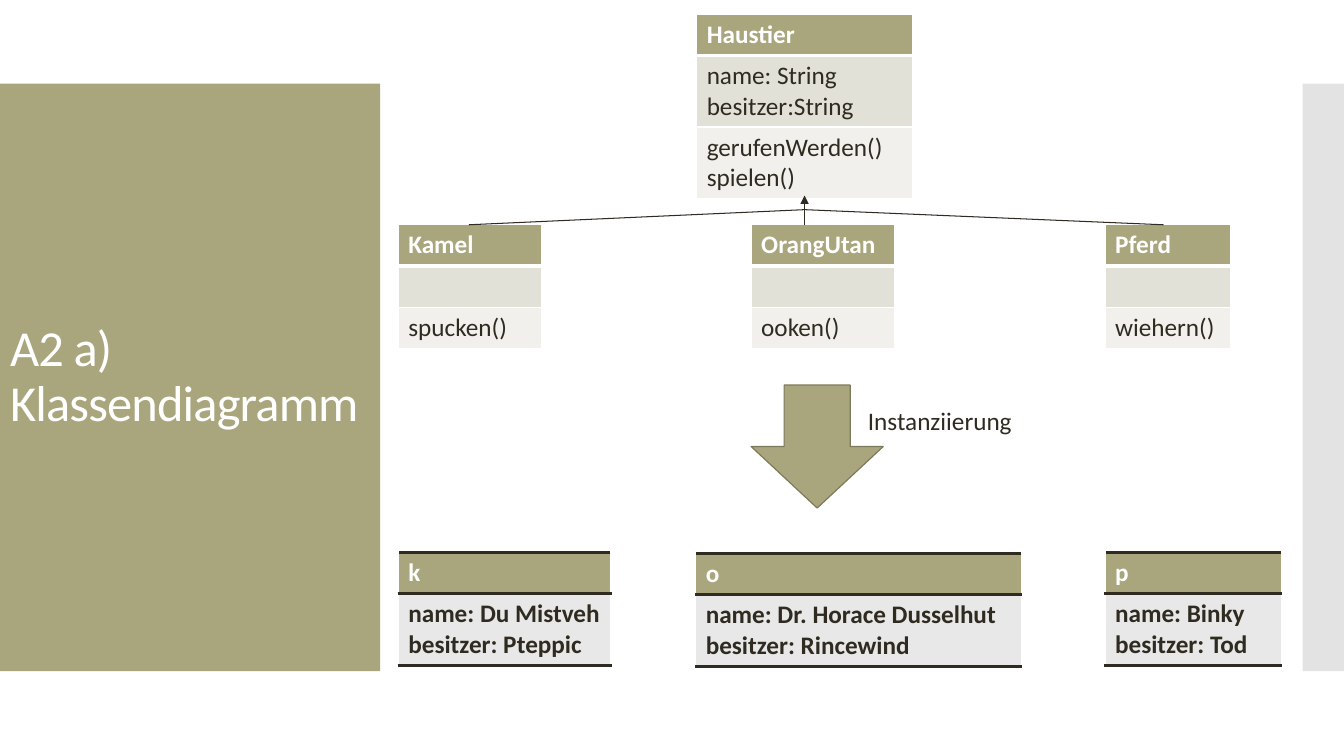
from dataclasses import dataclass

from lxml import etree
from pptx import Presentation
from pptx.dml.color import RGBColor
from pptx.enum.shapes import MSO_CONNECTOR, MSO_SHAPE
from pptx.enum.text import MSO_ANCHOR, MSO_AUTO_SIZE, PP_ALIGN
from pptx.oxml.ns import qn
from pptx.util import Inches, Pt

RECTANGLE = MSO_SHAPE.RECTANGLE
DOWN_ARROW = MSO_SHAPE.DOWN_ARROW
STRAIGHT = MSO_CONNECTOR.STRAIGHT
MIDDLE = MSO_ANCHOR.MIDDLE
LEFT = PP_ALIGN.LEFT
GROW = MSO_AUTO_SIZE.SHAPE_TO_FIT_TEXT


@dataclass(frozen=True)
class Theme:
    font: str = "Calibri"
    title_size: float = 36
    text_size: float = 18
    accent: str = "A9A57C"
    accent_dark: str = "7D7A5C"
    band_dark: str = "E2E1D7"
    band_light: str = "F1F0EC"
    object_fill: str = "E8E8E8"
    edge: str = "C8C8C8"
    dark: str = "2F2B20"
    light: str = "FFFFFF"


class DiagramSlide:
    def __init__(self, slide, theme):
        self.slide = slide
        self.theme = theme

    def format_text(self, frame, size, color, bold=False):
        values = {"name": self.theme.font, "size": Pt(size), "bold": bold}
        for paragraph in frame.paragraphs:
            for run in paragraph.runs:
                for attribute, value in values.items():
                    setattr(run.font, attribute, value)
                run.font.color.rgb = RGBColor.from_string(color)

    def title(self, text, box):
        title = self.slide.shapes.title
        title.left, title.top, title.width, title.height = map(Inches, box)
        frame = title.text_frame
        frame.text = text
        frame.word_wrap = True
        frame.vertical_anchor = MIDDLE
        paragraph = frame.paragraphs[0]
        paragraph.alignment = LEFT
        paragraph.line_spacing = 0.9
        self.format_text(frame, self.theme.title_size, self.theme.light)
        for run in paragraph.runs:
            run.font.element.set("spc", "-60") if hasattr(run.font, "element") \
                else run._r.get_or_add_rPr().set("spc", "-60")

    def shape(self, kind, box, fill, line=None):
        shape = self.slide.shapes.add_shape(kind, *map(Inches, box))
        shape.shadow.inherit = False
        shape.fill.solid()
        shape.fill.fore_color.rgb = RGBColor.from_string(fill)
        if line:
            shape.line.color.rgb = RGBColor.from_string(line)
            shape.line.width = Pt(0.85)
        else:
            shape.line.fill.background()
        return shape

    def panel(self, box, fill, opacity=100):
        """Add a plain rectangle behind the title."""
        panel = self.shape(RECTANGLE, box, fill)
        if opacity < 100:
            color = panel.element.spPr.find(f"{qn('a:solidFill')}/{qn('a:srgbClr')}")
            etree.SubElement(color, qn("a:alpha"), val=str(opacity * 1000))
        self.slide.shapes.title.element.addprevious(panel.element)

    def label(self, text, box):
        frame = self.slide.shapes.add_textbox(*map(Inches, box)).text_frame
        frame.text = text
        frame.word_wrap = True
        frame.auto_size = GROW
        self.format_text(frame, self.theme.text_size, self.theme.dark)

    def line(self, start, end, arrow=False):
        line = self.slide.shapes.add_connector(STRAIGHT, *map(Inches, start + end))
        line.line.color.rgb = RGBColor.from_string(self.theme.dark)
        line.line.width = Pt(0.75)
        if arrow:
            etree.SubElement(line.line._get_or_add_ln(), qn("a:tailEnd"), type="triangle")
        etree.SubElement(line.element.spPr, qn("a:effectLst"))

    def cell_borders(self, cell, top, bottom, color):
        sides = [("L", 1, self.theme.light), ("R", 1, self.theme.light),
                 ("T", top, color), ("B", bottom, color)]
        properties = cell._tc.get_or_add_tcPr()
        for position, (side, width, side_color) in enumerate(sides):
            border = etree.Element(qn(f"a:ln{side}"), w=str(Pt(width)))
            fill = etree.SubElement(border, qn("a:solidFill"))
            etree.SubElement(fill, qn("a:srgbClr"), val=side_color)
            properties.insert(position, border)

    def table(self, left, top, width, rows, fills, rules, rule_color, bold):
        """Stack one-column rows; rules are the horizontal line widths, top to bottom."""
        heights = [Inches(0.7 if "\n" in text else 0.41) for text in rows]
        table = self.slide.shapes.add_table(
            len(rows), 1, Inches(left), Inches(top), Inches(width), sum(heights)).table
        table.horz_banding = False
        for index, (text, fill) in enumerate(zip(rows, fills)):
            table.rows[index].height = heights[index]
            cell = table.cell(index, 0)
            cell.text = text
            cell.fill.solid()
            cell.fill.fore_color.rgb = RGBColor.from_string(fill)
            header = index == 0
            color = self.theme.light if header else self.theme.dark
            self.format_text(cell.text_frame, self.theme.text_size, color, header or bold)
            self.cell_borders(cell, rules[index], rules[index + 1], rule_color)

    def class_box(self, left, top, width, *rows):
        theme = self.theme
        self.table(left, top, width, rows, (theme.accent, theme.band_dark, theme.band_light),
                   (1, 3, 1, 1), theme.light, False)

    def object_box(self, left, top, width, *rows):
        theme = self.theme
        self.table(left, top, width, rows, (theme.accent, theme.object_fill),
                   (2, 2, 2), theme.dark, True)


def main():
    presentation = Presentation()
    presentation.slide_width = Inches(13.33)
    presentation.slide_height = Inches(7.5)
    title_only = presentation.slide_layouts[5]
    theme = Theme()
    diagram = DiagramSlide(presentation.slides.add_slide(title_only), theme)

    diagram.panel((0, 0.83, 3.77, 5.83), theme.accent)
    diagram.panel((12.92, 0.83, 0.41, 5.83), theme.edge, opacity=50)
    diagram.title("A2 a)\vKlassendiagramm", (0, 1.23, 4.1, 5.03))

    diagram.class_box(6.91, 0.14, 2.14, "Haustier", "name: String\nbesitzer:String",
                      "gerufenWerden()\nspielen()")
    subclass_top = 2.23
    for left, width, name, method in [(3.95, 1.42, "Kamel", "spucken()"),
                                      (7.45, 1.42, "OrangUtan", "ooken()"),
                                      (10.96, 1.25, "Pferd", "wiehern()")]:
        diagram.class_box(left, subclass_top, width, name, "", method)

    for left, top, width, name, pet, owner in [
            (3.95, 5.48, 2.11, "k", "Du Mistveh", "Pteppic"),
            (6.9, 5.49, 3.23, "o", "Dr. Horace Dusselhut", "Rincewind"),
            (10.96, 5.48, 1.75, "p", "Binky", "Tod")]:
        diagram.object_box(left, top, width, name, f"name: {pet}\nbesitzer: {owner}")

    diagram.shape(DOWN_ARROW, (7.45, 3.82, 1.31, 1.22), theme.accent, theme.accent_dark)
    diagram.label("Instanziierung", (8.51, 3.97, 1.75, 0.4))

    trunk = 7.98
    diagram.line((trunk, subclass_top), (trunk, 1.94), arrow=True)
    for branch in (4.65, 11.54):
        diagram.line((branch, subclass_top), (trunk, 2.08))

    presentation.save("out.pptx")


if __name__ == "__main__":
    main()
